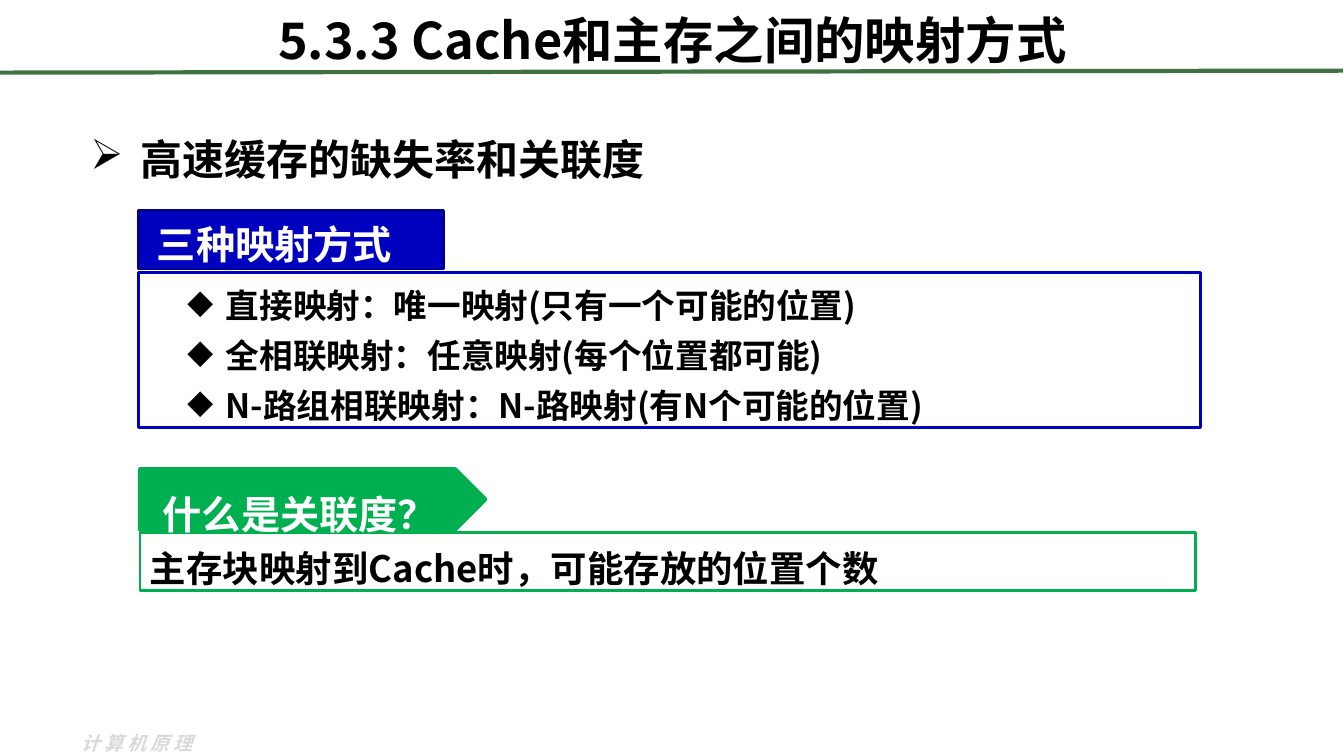
"""Build the slide on how cache blocks map to main memory."""
from lxml import etree
from pptx import Presentation
from pptx.dml.color import RGBColor
from pptx.enum.shapes import MSO_CONNECTOR, MSO_SHAPE
from pptx.enum.text import MSO_ANCHOR, PP_ALIGN
from pptx.oxml.ns import qn
from pptx.util import Cm, Pt

RECT, ARROW = MSO_SHAPE.RECTANGLE, MSO_SHAPE.PENTAGON
TOP, MIDDLE = MSO_ANCHOR.TOP, MSO_ANCHOR.MIDDLE
LEFT, CENTER = PP_ALIGN.LEFT, PP_ALIGN.CENTER
STRAIGHT = MSO_CONNECTOR.STRAIGHT
SANS, LATIN = "Noto Sans CJK SC", "DejaVu Sans"
COLORS = {"black": "000000", "white": "FFFFFF", "blue": "0000BF", "navy": "00008D",
          "green": "00B050", "rule": "3F7141", "gray": "D9D9D9"}

TITLE = "5.3.3 Cache和主存之间的映射方式"
TOPIC = "高速缓存的缺失率和关联度"
FOOTER = "计算机原理"
WAYS = ["直接映射：唯一映射(只有一个可能的位置)",
        "全相联映射：任意映射(每个位置都可能)",
        "N-路组相联映射：N-路映射(有N个可能的位置)"]
PANELS = [
    dict(kind=RECT, at=(3.53, 13.41, 26.59, 1.47), fill="white", line="green",
         lines=["主存块映射到Cache时，可能存放的位置个数"], size=26, gap=1.2),
    dict(kind=ARROW, at=(3.51, 11.81, 8.74, 1.55), fill="green", line="green",
         lines=[" 什么是关联度？"], size=28, gap=1.6, color="white",
         anchor=MIDDLE, face=LATIN),
    dict(kind=RECT, at=(3.48, 6.86, 26.77, 3.91), fill="white", line="blue",
         lines=WAYS, size=24, gap=1.2, mark="◆", left=1.96, hang=0.97),
    dict(kind=RECT, at=(3.48, 5.31, 7.7, 1.47), fill="blue", line="navy",
         lines=[" 三种映射方式"], size=28, gap=1.1, color="white"),
]


def tint(name):
    return RGBColor.from_string(COLORS[name])


def place(shape, at):
    shape.left, shape.top, shape.width, shape.height = map(Cm, at)


def write(frame, lines, size, gap=1, color="black", anchor=TOP, align=LEFT,
          face=SANS, mark=None, left=0, hang=0):
    frame.word_wrap = True
    frame.vertical_anchor = anchor
    for i, line in enumerate(lines):
        para = frame.add_paragraph() if i else frame.paragraphs[0]
        para.text = line
        para.alignment = align
        para.line_spacing = gap
        para.space_before = Pt(size * 0.05)
        props = para._p.get_or_add_pPr()
        if mark:
            props.set("marL", str(Cm(left)))
            props.set("indent", str(-Cm(hang)))
            etree.SubElement(props, qn("a:buChar"), char=mark)
        font = para.font
        font.size, font.bold, font.name = Pt(size), True, face
        font.color.rgb = tint(color)
        base = props.find(qn("a:defRPr"))
        etree.SubElement(base, qn("a:ea"), typeface=face)


def add_panel(slide, kind, at, fill, line, **text):
    shape = slide.shapes.add_shape(kind, *map(Cm, at))
    shape.shadow.inherit = False
    shape.fill.solid()
    shape.fill.fore_color.rgb = tint(fill)
    shape.line.color.rgb = tint(line)
    shape.line.width = Pt(2)
    write(shape.text_frame, **text)


def add_label(slide, at, **text):
    box = slide.shapes.add_textbox(*map(Cm, at))
    write(box.text_frame, **text)
    return box.text_frame.paragraphs[0]


def main():
    deck = Presentation()
    deck.slide_width, deck.slide_height = Cm(33.86), Cm(19.05)
    slide = deck.slides.add_slide(deck.slide_layouts[5])

    foot = add_label(slide, (1.8, 18.31, 3.71, 0.86), lines=[FOOTER],
                     size=13.5, color="gray")
    foot.font.italic = True
    foot._p.pPr.find(qn("a:defRPr")).set("spc", "300")

    rule = slide.shapes.add_connector(STRAIGHT, *map(Cm, (0, 1.83, 33.83, 1.78)))
    rule.line.color.rgb = tint("rule")
    rule.line.width = Pt(3)
    etree.SubElement(rule._element.spPr, qn("a:effectLst"))

    title = slide.shapes.title
    place(title, (1.7, -0.08, 30.48, 2.16))
    write(title.text_frame, [TITLE], 36, anchor=MIDDLE, align=CENTER)

    add_label(slide, (2.03, 2.69, 15.21, 1.88), lines=[TOPIC], size=30, gap=1.6,
              anchor=MIDDLE, mark="➢", left=1.27, hang=1.27)
    for panel in PANELS:
        add_panel(slide, **panel)
    deck.save("out.pptx")


if __name__ == "__main__":
    main()
